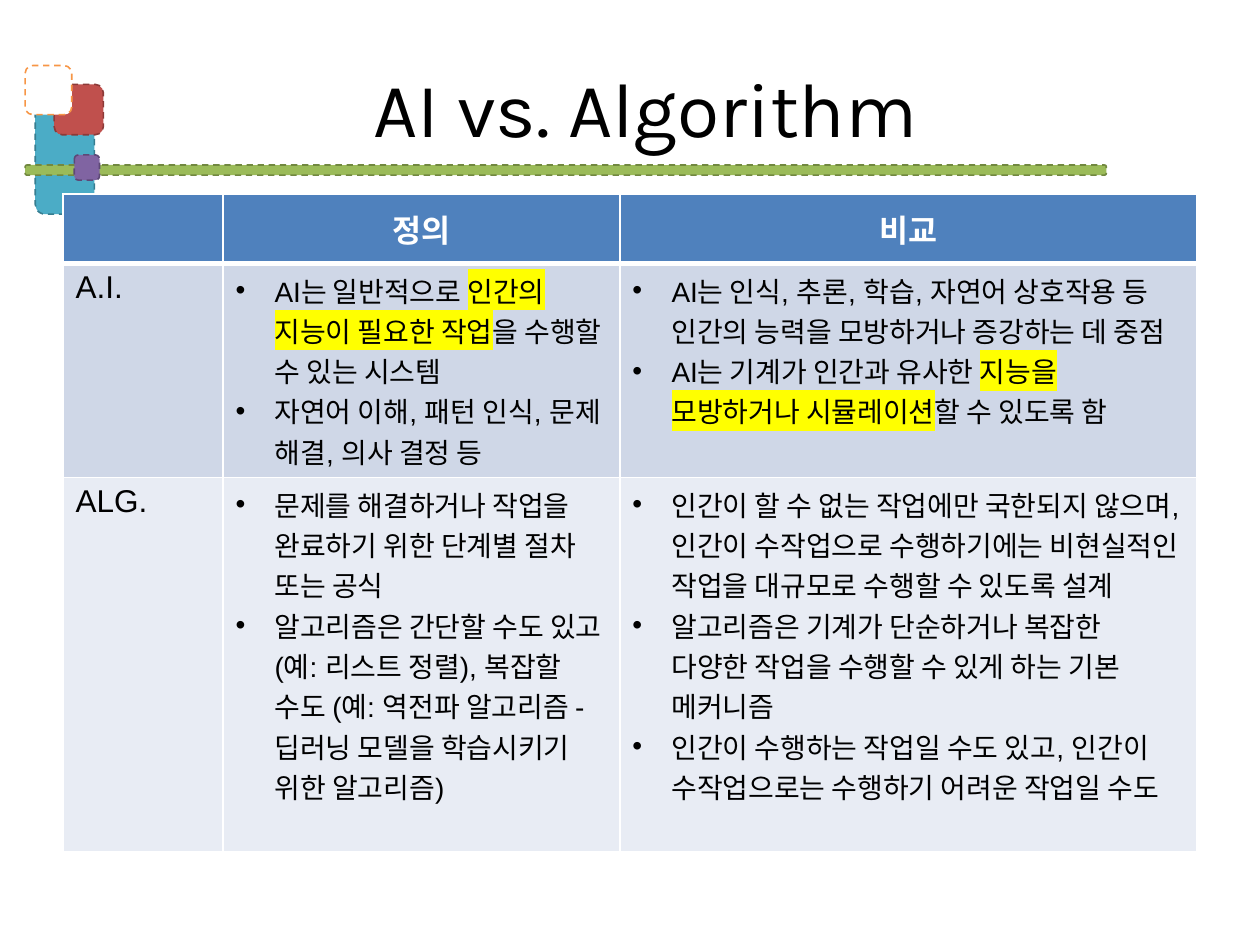
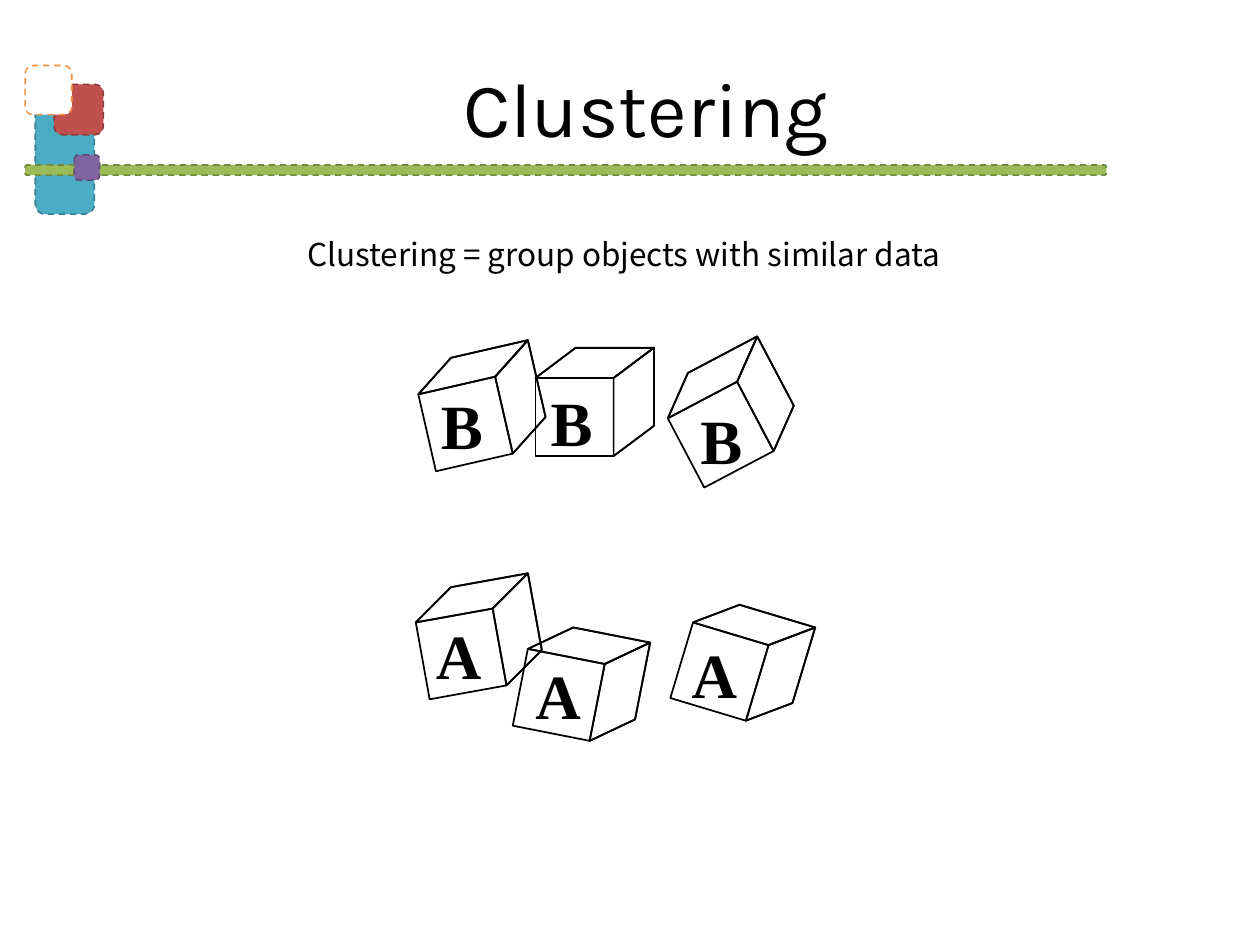
from pptx import Presentation
from pptx.dml.color import RGBColor
from pptx.enum.dml import MSO_LINE
from pptx.enum.shapes import MSO_CONNECTOR, MSO_SHAPE
from pptx.enum.text import MSO_ANCHOR, PP_ALIGN
from pptx.oxml.ns import qn
from pptx.util import Inches, Pt
from lxml.etree import SubElement

BLACK = RGBColor(0x00, 0x00, 0x00)
WHITE = RGBColor(0xFF, 0xFF, 0xFF)
YELLOW = RGBColor(0xFF, 0xFF, 0x00)
HEADER = RGBColor(0x4F, 0x81, 0xBD)
ROW_FILLS = [RGBColor(0xCF, 0xD7, 0xE7), RGBColor(0xE8, 0xEC, 0xF4)]
TEAL, TEAL_EDGE = RGBColor(0x4B, 0xAC, 0xC6), RGBColor(0x36, 0x7D, 0x90)
GREEN, GREEN_EDGE = RGBColor(0x9B, 0xBB, 0x59), RGBColor(0x71, 0x88, 0x40)
RED, RED_EDGE = RGBColor(0xC0, 0x50, 0x4D), RGBColor(0x8C, 0x3A, 0x38)
ORANGE = RGBColor(0xF7, 0x96, 0x46)
PURPLE, PURPLE_EDGE = RGBColor(0x80, 0x64, 0xA2), RGBColor(0x5D, 0x48, 0x76)

TITLE_FONT, TABLE_FONT = "Karla", "Arial"
BODY_FONT, CUBE_FONT = "Noto Sans CJK KR", "Times New Roman"

ORNAMENTS = [
    ((0.28, 0.7, 0.47, 1), TEAL, TEAL_EDGE),
    ((0.2, 1.31, 8.58, 0.08), GREEN, GREEN_EDGE),
    ((0.43, 0.67, 0.39, 0.4), RED, RED_EDGE),
    ((0.2, 0.52, 0.37, 0.39), WHITE, ORANGE),
    ((0.59, 1.23, 0.2, 0.2), PURPLE, PURPLE_EDGE),
]

COLUMNS = [1.27, 3.15, 4.58]
ROWS = [0.55, 1.7, 2.97]
HEADINGS = ["", "정의", "비교"]
HIGHLIGHT_MARK = "|"
COMPARISON = [
    ("A.I.",
     ["AI는 일반적으로 |인간의 지능이 필요한 작업|을 수행할 수 있는 시스템",
      "자연어 이해, 패턴 인식, 문제 해결, 의사 결정 등"],
     ["AI는 인식, 추론, 학습, 자연어 상호작용 등 인간의 능력을 모방하거나 증강하는 데 중점",
      "AI는 기계가 인간과 유사한 |지능을 모방하거나 시뮬레이션|할 수 있도록 함"]),
    ("ALG.",
     ["문제를 해결하거나 작업을 완료하기 위한 단계별 절차 또는 공식",
      "알고리즘은 간단할 수도 있고(예: 리스트 정렬), 복잡할 수도 (예: 역전파 알고리즘 - "
      "딥러닝 모델을 학습시키기 위한 알고리즘)"],
     ["인간이 할 수 없는 작업에만 국한되지 않으며, 인간이 수작업으로 수행하기에는 "
      "비현실적인 작업을 대규모로 수행할 수 있도록 설계",
      "알고리즘은 기계가 단순하거나 복잡한 다양한 작업을 수행할 수 있게 하는 기본 메커니즘",
      "인간이 수행하는 작업일 수도 있고, 인간이 수작업으로는 수행하기 어려운 작업일 수도"]),
]

CUBES = [
    dict(letter="A", corner=(3.3, 4.94), across=(0.61, -0.11), depth=(0.28, -0.28), label=(3.46, 4.89)),
    dict(letter="B", corner=(4.25, 3), across=(0.62, 0), depth=(0.32, -0.24), label=(4.37, 3.04)),
    dict(letter="A", corner=(4.19, 5.15), across=(0.61, 0.12), depth=(0.36, -0.17), label=(4.25, 5.21)),
    dict(letter="B", corner=(5.3, 3.32), across=(0.55, -0.29), depth=(0.16, -0.36), label=(5.56, 3.19)),
    dict(letter="A", corner=(5.5, 4.94), across=(0.6, 0.18), depth=(0.37, -0.14), label=(5.49, 5.04)),
    dict(letter="B", corner=(3.32, 3.13), across=(0.61, -0.14), depth=(0.26, -0.29), label=(3.5, 3.07)),
]


def write(p, text, size=18, font=TABLE_FONT, color=BLACK, bold=False,
          align=PP_ALIGN.LEFT, bullet=False):
    p.alignment = align
    if bullet:
        pPr = p._p.get_or_add_pPr()
        pPr.set("marL", str(Inches(0.31)))
        pPr.set("indent", str(-Inches(0.31)))
        clr = SubElement(pPr, qn("a:buClr"))
        SubElement(clr, qn("a:srgbClr"), val=str(BLACK))
        SubElement(pPr, qn("a:buFont"), typeface="Arial")
        SubElement(pPr, qn("a:buChar"), char="•")
    for i, part in enumerate(text.split(HIGHLIGHT_MARK)):
        r = p.add_run()
        r.text = part
        r.font.size, r.font.bold = Pt(size), bold
        r.font.color.rgb = color
        if i % 2:
            mark = SubElement(r.font._element, qn("a:highlight"))
            SubElement(mark, qn("a:srgbClr"), val=str(YELLOW))
        r.font.name = font


def add_text(shapes, box, text, inset=True, anchor=MSO_ANCHOR.TOP, **fmt):
    tf = shapes.add_textbox(*map(Inches, box)).text_frame
    tf.word_wrap = True
    tf.vertical_anchor = anchor
    if not inset:
        tf.margin_left = tf.margin_top = tf.margin_right = tf.margin_bottom = 0
    write(tf.paragraphs[0], text, **fmt)


def add_slide(prs, title):
    slide = prs.slides.add_slide(prs.slide_layouts[6])
    for box, fill, edge in ORNAMENTS:
        sp = slide.shapes.add_shape(MSO_SHAPE.ROUNDED_RECTANGLE, *map(Inches, box))
        sp.shadow.inherit = False
        sp.fill.solid()
        sp.fill.fore_color.rgb = fill
        sp.line.color.rgb = edge
        sp.line.width = Pt(0.9)
        sp.line.dash_style = MSO_LINE.DASH
    add_text(slide.shapes, (0.75, 0.3, 8.75, 1.09), title, anchor=MSO_ANCHOR.MIDDLE,
             size=44, font=TITLE_FONT, align=PP_ALIGN.CENTER)
    return slide


def style_cell(cell, fill, top=1, bottom=1):
    tcPr = cell._tc.get_or_add_tcPr()
    for side, width in zip("LRTB", (1, 1, top, bottom)):
        ln = SubElement(tcPr, qn(f"a:ln{side}"), w=str(Pt(width)))
        solid = SubElement(ln, qn("a:solidFill"))
        SubElement(solid, qn("a:srgbClr"), val=str(WHITE))
    cell.fill.solid()
    cell.fill.fore_color.rgb = fill


def add_comparison(slide):
    table = slide.shapes.add_table(len(ROWS), len(COLUMNS), Inches(0.5), Inches(1.54),
                                   Inches(sum(COLUMNS)), Inches(sum(ROWS))).table
    for col, width in zip(table.columns, COLUMNS):
        col.width = Inches(width)
    for row, height in zip(table.rows, ROWS):
        row.height = Inches(height)
    for c, heading in enumerate(HEADINGS):
        cell = table.cell(0, c)
        style_cell(cell, HEADER, bottom=3)
        cell.vertical_anchor = MSO_ANCHOR.MIDDLE
        if heading:
            write(cell.text_frame.paragraphs[0], heading, color=WHITE, bold=True,
                  align=PP_ALIGN.CENTER)
    for r, (name, *lists) in enumerate(COMPARISON, 1):
        for c in range(len(COLUMNS)):
            style_cell(table.cell(r, c), ROW_FILLS[r - 1], top=3 if r == 1 else 1)
        write(table.cell(r, 0).text_frame.paragraphs[0], name)
        for c, items in enumerate(lists, 1):
            tf = table.cell(r, c).text_frame
            for i, item in enumerate(items):
                p = tf.add_paragraph() if i else tf.paragraphs[0]
                write(p, item, size=16, bullet=True)


def outline(sp):
    sp.line.color.rgb = BLACK
    sp.line.width = Pt(1)


def add_face(shapes, *points):
    points = [(Inches(x), Inches(y)) for x, y in points]
    builder = shapes.build_freeform(*points[0])
    builder.add_line_segments(points[1:], close=True)
    sp = builder.convert_to_shape()
    sp.shadow.inherit = False
    sp.fill.background()
    outline(sp)


def add_edge(shapes, start, end):
    line = shapes.add_connector(MSO_CONNECTOR.STRAIGHT, *map(Inches, (*start, *end)))
    outline(line)
    SubElement(line._element.spPr, qn("a:effectLst"))


def shift(point, vector):
    return point[0] + vector[0], point[1] + vector[1]


def add_cube(slide, letter, corner, across, depth, label):
    shapes = slide.shapes.add_group_shape().shapes
    down = (-across[1], across[0])
    top_left, top_right, low_left = corner, shift(corner, across), shift(corner, down)
    low_right = shift(top_right, down)
    back_left, back_right, back_low = (shift(pt, depth) for pt in (top_left, top_right, low_right))
    add_face(shapes, top_left, top_right, low_right, low_left)
    add_text(shapes, (*label, 0.76, 0.59), letter, inset=False, size=36, font=CUBE_FONT, bold=True)
    for start, end in [(top_left, back_left), (low_right, back_low), (back_low, back_right),
                       (back_right, back_left), (back_right, top_right)]:
        add_edge(shapes, start, end)
    add_face(shapes, top_left, back_left, back_right, top_right)
    add_face(shapes, top_right, back_right, back_low, low_right)


def main():
    prs = Presentation()
    prs.slide_width, prs.slide_height = Inches(10), Inches(7.5)
    add_comparison(add_slide(prs, "AI vs. Algorithm"))
    slide = add_slide(prs, "Clustering")
    add_text(slide.shapes, (2.34, 1.82, 5.28, 0.4),
             "Clustering = group objects with similar data", font=BODY_FONT)
    for cube in CUBES:
        add_cube(slide, **cube)
    prs.save("out.pptx")


if __name__ == "__main__":
    main()
